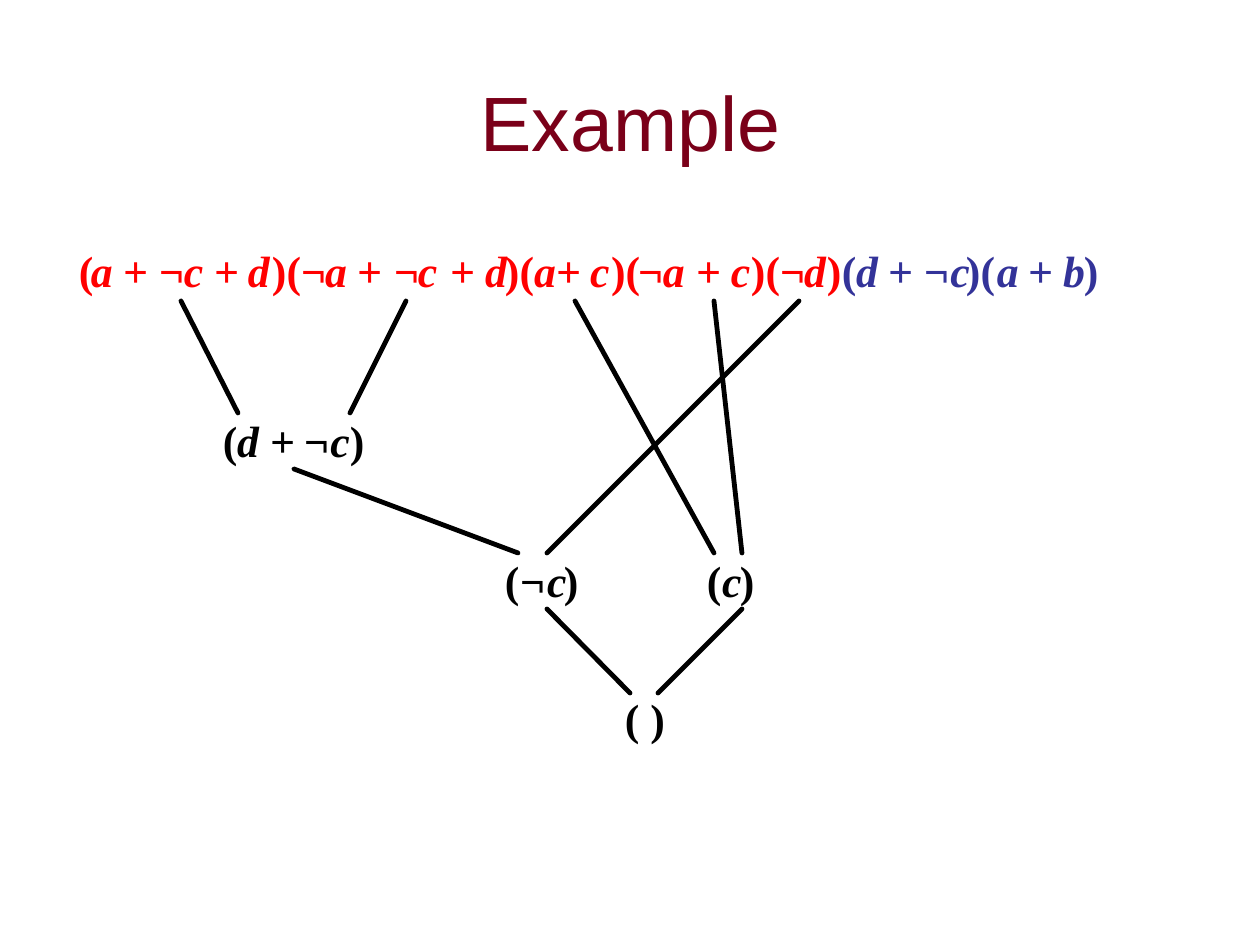
from dataclasses import dataclass, field

from lxml import etree
from pptx import Presentation
from pptx.dml.color import RGBColor
from pptx.enum.shapes import MSO_CONNECTOR as Connector
from pptx.enum.text import MSO_ANCHOR as Anchor, PP_ALIGN as Align
from pptx.oxml.ns import qn
from pptx.slide import Slide
from pptx.util import Emu, Pt

SLIDE_WIDTH, SLIDE_HEIGHT = 1260, 945
EMU_PER_PX = 914400 / 126
COLORS = {"title": "7A0019", "used": "FF0000", "unused": "333399", "ink": "000000"}

# Box width of each formula token, wide enough to stay on one line
TOKEN_WIDTHS = {"(": 15, ")": 15, ")(": 31, "( )": 42, "+": 35, "¬": 27,
                "¬c": 48, "a": 33, "b": 22, "c": 20, "d": 22}

# Formulas: colour, top, then (token, left) in reading order
FORMULAS = [
    ("used", 244, [
        ("(", 79), ("a", 91), ("+", 123), ("¬", 159), ("c", 184), ("+", 214), ("d", 248),
        (")(", 272), ("¬", 301), ("a", 325), ("+", 357), ("¬", 394), ("c", 418),
        ("+", 450), ("d", 485), (")(", 505), ("a", 534), ("+", 556), ("c", 590),
        (")(", 611), ("¬", 638), ("a", 663), ("+", 696), ("c", 731),
        (")(", 751), ("¬", 780), ("d", 804), (")", 827)]),
    ("unused", 244, [
        ("(", 842), ("d", 856), ("+", 888), ("¬c", 924),
        (")(", 966), ("a", 997), ("+", 1028), ("b", 1063), (")", 1084)]),
    ("ink", 414, [("(", 223), ("d", 237), ("+", 270), ("¬c", 304), (")", 350)]),
    ("ink", 554, [("(", 505), ("¬", 520), ("c", 547), (")", 564)]),
    ("ink", 554, [("(", 707), ("c", 722), (")", 740)]),
    ("ink", 692, [("( )", 625)]),
]

# Resolution steps: top, bottom, then (upper x, lower x) of each line
STEPS = [
    (301, 413, [(181, 238), (406, 350)]),
    (469, 553, [(294, 518)]),
    (301, 553, [(799, 547), (575, 714), (714, 742)]),
    (609, 693, [(547, 630), (742, 658)]),
]


def px(length):
    return Emu(round(length * EMU_PER_PX))


@dataclass
class SlideBuilder:
    slide: Slide
    colors: dict = field(default_factory=lambda: COLORS)
    title_font: str = "Arial"
    math_font: str = "Times New Roman"
    title_size: float = 44
    math_size: float = 25
    line_width: float = 2.75

    def color(self, name):
        return RGBColor.from_string(self.colors[name])

    def text_box(self, left, top, width, height):
        shape = self.slide.shapes.add_textbox(px(left), px(top), px(width), px(height))
        frame = shape.text_frame
        frame.margin_left = frame.margin_right = 0
        frame.margin_top = frame.margin_bottom = 0
        return frame

    def add_run(self, paragraph, text, font_name, size, color):
        run = paragraph.add_run()
        run.text = text
        run.font.name = font_name
        run.font.size = Pt(size)
        run.font.color.rgb = self.color(color)
        return run

    def title(self, text, left, top, width, height):
        frame = self.text_box(left, top, width, height)
        frame.word_wrap = True
        frame.vertical_anchor = Anchor.MIDDLE
        paragraph = frame.paragraphs[0]
        paragraph.alignment = Align.CENTER
        self.add_run(paragraph, text, self.title_font, self.title_size, "title")

    def formula(self, color, top, tokens):
        for token, left in tokens:
            frame = self.text_box(left, top, TOKEN_WIDTHS[token], 53)
            frame.word_wrap = False
            run = self.add_run(frame.paragraphs[0], token, self.math_font,
                               self.math_size, color)
            run.font.bold = True
            run.font.italic = token[0] not in "()"

    def line(self, x1, y1, x2, y2):
        connector = self.slide.shapes.add_connector(
            Connector.STRAIGHT, px(x1), px(y1), px(x2), px(y2))
        connector.line.color.rgb = self.color("ink")
        connector.line.width = Pt(self.line_width)
        properties = connector._element.spPr
        properties.find(qn("a:ln")).set("cap", "rnd")
        etree.SubElement(properties, qn("a:effectLst"))


def main():
    presentation = Presentation()
    presentation.slide_width = px(SLIDE_WIDTH)
    presentation.slide_height = px(SLIDE_HEIGHT)
    builder = SlideBuilder(presentation.slides.add_slide(presentation.slide_layouts[6]))

    # Title
    builder.title("Example", 95, 42, 1071, 158)

    # Clauses and resolvents
    for color, top, tokens in FORMULAS:
        builder.formula(color, top, tokens)

    # Lines from each clause to its resolvent
    for top, bottom, lines in STEPS:
        for upper_x, lower_x in lines:
            builder.line(upper_x, top, lower_x, bottom)

    presentation.save("out.pptx")


if __name__ == "__main__":
    main()
